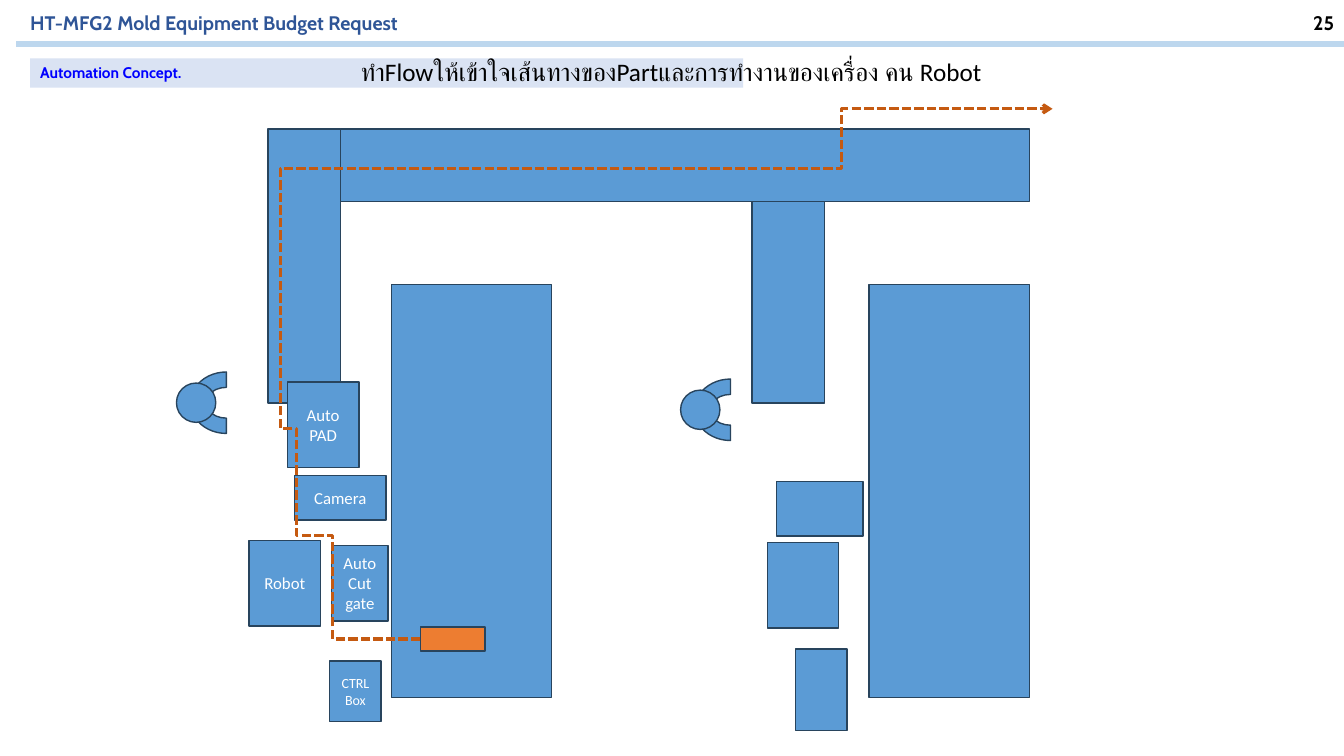
from dataclasses import dataclass

from lxml.etree import SubElement
from pptx import Presentation
from pptx.dml.color import RGBColor
from pptx.enum.dml import MSO_LINE
from pptx.enum.shapes import MSO_CONNECTOR, MSO_SHAPE
from pptx.enum.text import MSO_ANCHOR, PP_ALIGN
from pptx.oxml.ns import qn
from pptx.util import Inches, Pt


@dataclass
class Theme:
    blue: str = "5B9BD5"
    edge: str = "28445D"
    orange: str = "ED7D31"
    flow: str = "C55A11"
    rule: str = "BDD7EE"
    band: str = "DAE3F3"
    title: str = "2F5597"
    topic: str = "0000FF"
    black: str = "000000"
    white: str = "FFFFFF"
    head: str = "Cabin"
    body: str = "Calibri"
    large: int = 18
    medium: int = 14
    label: int = 12
    sub: int = 11
    small: int = 10


theme = Theme()
rgb = RGBColor.from_string

deck = Presentation()
deck.slide_width, deck.slide_height = Inches(13.33), Inches(7.5)
slide = deck.slides.add_slide(deck.slide_layouts[6])
shapes = slide.shapes


def add_block(owner, kind, box, fill=theme.blue, edge=theme.edge):
    shape = owner.add_shape(kind, *map(Inches, box))
    shape.shadow.inherit = False
    shape.fill.solid()
    shape.fill.fore_color.rgb = rgb(fill)
    if edge:
        shape.line.color.rgb = rgb(edge)
        shape.line.width = Pt(1)
    else:
        shape.line.fill.background()
    return shape


def write(shape, lines, size, font, color, bold=False,
          align=PP_ALIGN.LEFT, anchor=MSO_ANCHOR.TOP):
    frame = shape.text_frame
    frame.word_wrap = True
    frame.vertical_anchor = anchor
    for i, line in enumerate(lines):
        para = frame.add_paragraph() if i else frame.paragraphs[0]
        para.alignment = align
        run = para.add_run()
        run.text = line
        run.font.size = Pt(size)
        run.font.name = font
        run.font.bold = bold
        run.font.color.rgb = rgb(color)


# Header
for text, box, color, align in [
    ("HT-MFG2 Mold Equipment Budget Request", (0.2, 0.06, 9.22, 0.35),
     theme.title, PP_ALIGN.LEFT),
    ("25", (12.51, 0.06, 0.82, 0.34), theme.black, PP_ALIGN.RIGHT),
]:
    write(shapes.add_textbox(*map(Inches, box)), [text], theme.medium,
          theme.head, color, True, align)
rule = shapes.add_connector(MSO_CONNECTOR.STRAIGHT, Inches(0.16), Inches(0.44),
                            Inches(13.33), Inches(0.44))
rule.line.color.rgb = rgb(theme.rule)
rule.line.width = Pt(4.5)
SubElement(rule.element.spPr, qn("a:effectLst"))

# Workers: arms around a round head
for left, top in [(1.94, 3.64), (6.94, 3.71)]:
    group = shapes.add_group_shape().shapes
    arms = add_block(group, MSO_SHAPE.BLOCK_ARC, (left, top, 0.61, 0.71))
    arms.rotation = 270
    add_block(group, MSO_SHAPE.OVAL, (left - 0.19, top + 0.16, 0.39, 0.39))

# Machines, conveyors and stations
for box, lines, size in [
    ((3.88, 2.82, 1.59, 4.1), [], theme.label),
    ((8.62, 2.82, 1.59, 4.1), [], theme.label),
    ((2.66, 1.28, 0.72, 2.72), [], theme.label),
    ((3.38, 1.28, 6.83, 0.72), [], theme.label),
    ((7.46, 2, 0.72, 2), [], theme.label),
    ((3.27, 6.56, 0.51, 0.6), ["CTRL Box"], theme.small),
    ((2.47, 5.36, 0.71, 0.85), ["Robot"], theme.label),
    ((2.85, 3.79, 0.71, 0.85), ["Auto PAD"], theme.label),
    ((2.92, 4.72, 0.91, 0.44), ["Camera"], theme.label),
    ((3.29, 5.41, 0.56, 0.75), ["Auto", "Cut", "gate"], theme.label),
    ((7.89, 6.44, 0.51, 0.81), [], theme.label),
    ((7.61, 5.38, 0.71, 0.85), [], theme.label),
    ((7.7, 4.78, 0.86, 0.54), [], theme.label),
]:
    block = add_block(shapes, MSO_SHAPE.RECTANGLE, box)
    write(block, lines, size, theme.body, theme.white,
          align=PP_ALIGN.CENTER, anchor=MSO_ANCHOR.MIDDLE)

# Molded piece and its way out
add_block(shapes, MSO_SHAPE.RECTANGLE, (4.17, 6.22, 0.64, 0.24), theme.orange)
stops = [(4.17, 6.34), (3.3, 6.34), (3.3, 5.31), (2.94, 5.31), (2.94, 4.25),
         (2.78, 4.25), (2.78, 1.67), (8.35, 1.67), (8.35, 1.08), (10.44, 1.08)]
points = [(Inches(x), Inches(y)) for x, y in stops]
pen = shapes.build_freeform(*points[0])
pen.add_line_segments(points[1:], close=False)
flow = pen.convert_to_shape()
flow.shadow.inherit = False
flow.fill.background()
flow.line.color.rgb = rgb(theme.flow)
flow.line.width = Pt(2.25)
flow.line.dash_style = MSO_LINE.SQUARE_DOT
SubElement(flow.element.spPr.find(qn("a:ln")), qn("a:tailEnd"), type="arrow")

# Topic band and note
band = add_block(shapes, MSO_SHAPE.RECTANGLE, (0.3, 0.58, 7.07, 0.29),
                 theme.band, None)
write(band, ["Automation Concept."], theme.sub, theme.head, theme.topic, True)
note = shapes.add_textbox(*map(Inches, (3.48, 0.51, 7.87, 0.4)))
write(note, ["ทำFlowให้เข้าใจเส้นทางของPartและการทำงานของเครื่อง คน Robot"],
      theme.large, theme.body, theme.black)

deck.save("out.pptx")
